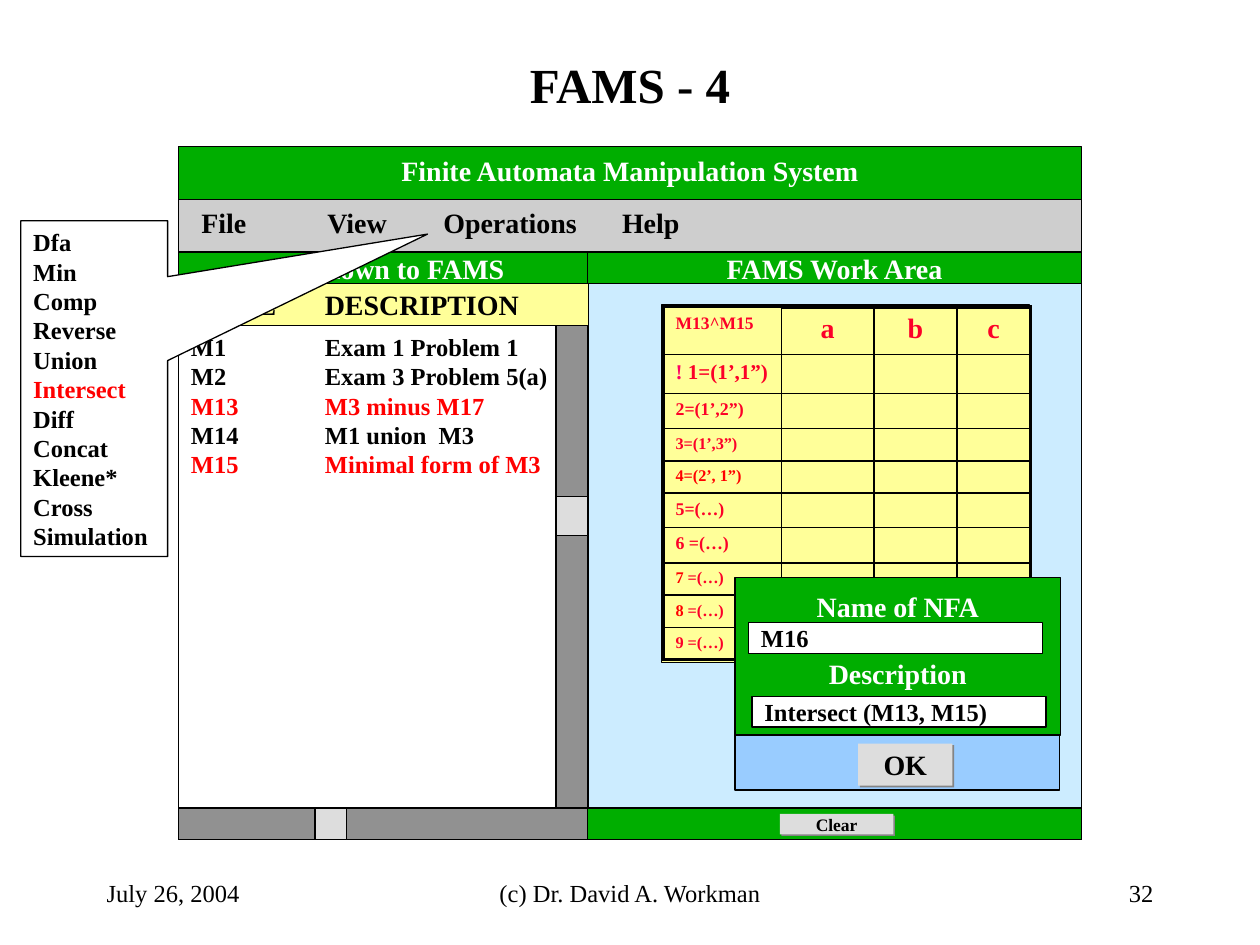
from lxml import etree
from pptx import Presentation
from pptx import util as u
from pptx.dml.color import RGBColor
from pptx.enum import shapes, text
from pptx.oxml import ns

BLACK = RGBColor(0, 0, 0)
WHITE = RGBColor(255, 255, 255)
GREEN = RGBColor(0, 0xAE, 0)
RED = RGBColor(255, 0, 0)
CRIMSON = RGBColor(0xFC, 0x01, 0x28)
PINK = RGBColor(255, 0, 0x66)
YELLOW = RGBColor(255, 255, 0x99)
PALE_BLUE = RGBColor(0xCC, 0xEC, 255)
SKY = RGBColor(0x99, 0xCC, 255)
MENU_GREY = RGBColor(0xCE, 0xCE, 0xCE)
TRACK_GREY = RGBColor(0x91, 0x91, 0x91)
BUTTON_GREY = RGBColor(0xDD, 0xDD, 0xDD)
SHADOW_GREY = RGBColor(0x84, 0x84, 0x84)

LEFT, CENTER, RIGHT = text.PP_ALIGN.LEFT, text.PP_ALIGN.CENTER, text.PP_ALIGN.RIGHT
TOP, MIDDLE = text.MSO_ANCHOR.TOP, text.MSO_ANCHOR.MIDDLE
RECT = shapes.MSO_SHAPE.RECTANGLE


def add_child(parent, tag, **attrs):
    return etree.SubElement(parent, ns.qn(tag), {k: str(v) for k, v in attrs.items()})


class Painter:
    font = "Times New Roman"
    line_width = u.Pt(0.75)

    def __init__(self, slide):
        self.s = slide

    def fill_text(self, tf, lines, size, color=BLACK, bold=True, align=LEFT,
                  anchor=TOP, tab=None, gap=0, inset=0.13):
        tf.word_wrap = True
        tf.vertical_anchor = anchor
        tf.margin_left = tf.margin_right = u.Cm(0.25)
        tf.margin_top, tf.margin_bottom = u.Cm(inset), u.Cm(0.13)
        for i, line in enumerate(lines):
            p = tf.add_paragraph() if i else tf.paragraphs[0]
            if tab:
                tabs = add_child(p._p.get_or_add_pPr(), "a:tabLst")
                add_child(tabs, "a:tab", pos=u.Cm(tab), algn="l")
            p.alignment = align
            if i and gap:
                p.space_before = u.Pt(gap)
            self.runs(p, line, size, color, bold)

    def runs(self, p, line, size, color, bold=True):
        for words, tint in [(line, color)] if isinstance(line, str) else line:
            r = p.add_run()
            r.text = words
            r.font.name, r.font.size, r.font.bold = self.font, u.Pt(size), bold
            r.font.color.rgb = tint

    def label(self, x, y, w, h, line, size, **style):
        sp = self.s.shapes.add_textbox(u.Cm(x), u.Cm(y), u.Cm(w), u.Cm(h))
        self.fill_text(sp.text_frame, [line], size, **style)

    def box(self, x, y, w, h, fill, lines=(), size=16, kind=RECT, outline=True, **style):
        sp = self.s.shapes.add_shape(kind, u.Cm(x), u.Cm(y), u.Cm(w), u.Cm(h))
        sp.shadow.inherit = False
        sp.fill.solid()
        sp.fill.fore_color.rgb = fill
        if outline:
            sp.line.color.rgb = BLACK
            sp.line.width = self.line_width
        else:
            sp.line.fill.background()
        if lines:
            self.fill_text(sp.text_frame, lines, size, **style)
        return sp

    def button(self, x, y, w, h, caption, size):
        sp = self.box(x, y, w, h, BUTTON_GREY, [caption], size, outline=False,
                      align=CENTER, anchor=MIDDLE)
        effects = sp._element.spPr.find(ns.qn("a:effectLst"))
        shadow = add_child(effects, "a:outerShdw", dist=u.Pt(1.4), dir=2700000,
                           algn="ctr", rotWithShape=0)
        add_child(shadow, "a:srgbClr", val=SHADOW_GREY)

    def callout(self, x, y, w, h, tip, lines, size):
        sp = self.box(x, y, w, h, WHITE, lines, size,
                      kind=shapes.MSO_SHAPE.RECTANGULAR_CALLOUT)
        sp.adjustments[0], sp.adjustments[1] = tip

    def border(self, cell, side, width):
        ln = add_child(cell._tc.get_or_add_tcPr(), "a:ln" + side, w=u.Pt(width))
        add_child(add_child(ln, "a:solidFill"), "a:srgbClr", val=BLACK)

    def grid(self, x, y, widths, heights, rows):
        n, m = len(heights), len(widths)
        frame = self.s.shapes.add_table(n, m, u.Cm(x), u.Cm(y),
                                        u.Cm(sum(widths)), u.Cm(sum(heights)))
        table = frame.table
        table.first_row = table.horz_banding = False
        for col, width in zip(table.columns, widths):
            col.width = u.Cm(width)
        for i, (height, (size, cells)) in enumerate(zip(heights, rows)):
            table.rows[i].height = u.Cm(height)
            for j in range(m):
                cell = table.cell(i, j)
                edges = {"L": j == 0, "R": j == m - 1,
                         "T": i == 0 and j > 0, "B": i == n - 1}
                for side, thick in edges.items():
                    self.border(cell, side, 2.25 if thick else 1)
                cell.fill.solid()
                cell.fill.fore_color.rgb = YELLOW
                cell.margin_left = cell.margin_right = u.Cm(0.25)
                cell.margin_top, cell.margin_bottom = u.Cm(0.13), 0
                p = cell.text_frame.paragraphs[0]
                if j < len(cells):
                    p.alignment = CENTER if j else LEFT
                    self.runs(p, cells[j], 16 if j else size, CRIMSON)
                else:
                    p._p.get_or_add_endParaRPr().set("sz", "900")


def main():
    prs = Presentation()
    prs.slide_width, prs.slide_height = u.Cm(25.4), u.Cm(19.05)
    d = Painter(prs.slides.add_slide(prs.slide_layouts[6]))
    left, mid, list_w, work_w, bar = 3.6, 11.85, 8.26, 9.95, 0.64
    full_w = 18.2
    heading = dict(color=WHITE, align=CENTER, anchor=MIDDLE)

    d.label(1.9, 0.85, 21.6, 1.7, "FAMS - 4", 28, align=CENTER, anchor=MIDDLE)

    d.box(left, 5.08, full_w, 11.85, PALE_BLUE)
    d.box(left, 4.02, full_w, 1.06, MENU_GREY)
    d.box(left, 2.96, full_w, 1.06, GREEN, ["Finite Automata Manipulation System"],
          color=WHITE, align=CENTER)
    for x, w, name in [(3.81, 1.6, "File"), (6.35, 1.9, "View"),
                       (8.69, 3.4, "Operations"), (12.29, 1.8, "Help")]:
        d.label(x, 4.02, w, 0.94, name, 16)

    d.box(left, 5.72, list_w, 0.85, YELLOW, ["NAME\tDESCRIPTION"], anchor=MIDDLE, tab=2.7)
    d.box(left, 5.08, list_w, bar, GREEN, ["FA Known to FAMS"], **heading)
    d.box(left, 6.56, list_w, 10.37, WHITE, [
        "M1\tExam 1 Problem 1",
        "M2\tExam 3 Problem 5(a)",
        [("M13\tM3 minus M17", RED)],
        "M14\tM1 union  M3",
        [("M15\tMinimal form of M3", RED)],
    ], 14, tab=2.7)
    d.box(mid - bar, 6.56, bar, 10.37, TRACK_GREY)
    d.box(mid - bar, 10.01, bar, 0.79, BUTTON_GREY)
    d.box(left, 16.29, list_w, bar, TRACK_GREY)
    d.box(6.35, 16.29, bar, bar, BUTTON_GREY)
    d.box(mid, 5.08, work_w, bar, GREEN, ["FAMS Work Area"], **heading)

    d.callout(0.42, 4.45, 2.96, 6.77, (2.27, -0.46), [
        "Dfa", "Min", "Comp", "Reverse", "Union", [("Intersect", RED)],
        "Diff", "Concat", "Kleene*", "Cross", "Simulation"], 14)

    d.box(13.33, 6.15, 7.42, 7.2, YELLOW)
    d.grid(13.37, 6.19, [2.38, 1.87, 1.67, 1.48],
           [0.96, 0.78, 0.71, 0.65, 0.65, 0.69, 0.72, 0.65, 0.65, 0.65], [
        (10, ["M13^M15", "a", "b", "c"]),
        (12, [[("! ", PINK), ("1=(1’,1”)", CRIMSON)]]),
        (10.2, ["2=(1’,2”)"]),
        (9.3, ["3=(1’,3”)"]),
        (9.3, [[("4=(2’, 1”)", RED)]]),
        (10.2, ["5=(…)"]),
        (10.2, ["6 =(…)"]),
        (9.3, [[("7 ", RED), ("=(…)", CRIMSON)]]),
        (9.3, [[("8 ", RED), ("=(…)", CRIMSON)]]),
        (9.3, ["9 =(…)"]),
    ])

    d.box(mid, 16.29, work_w, bar, GREEN)
    d.button(15.72, 16.41, 2.29, 0.41, "Clear", 10)

    d.box(14.82, 11.64, 6.56, 3.18, GREEN, ["Name of NFA", "Description"],
          color=WHITE, align=CENTER, gap=19, inset=0.25)
    d.box(14.82, 14.82, 6.54, 1.11, SKY)
    d.button(17.3, 14.99, 1.9, 0.85, "OK", 16)
    d.box(15.09, 12.55, 5.93, 0.62, WHITE, ["M16"], 14, anchor=MIDDLE)
    d.box(15.16, 14.04, 5.93, 0.62, WHITE, ["Intersect (M13, M15)"], 14, anchor=MIDDLE)

    for x, w, words, align in [(8.68, 8.04, "(c) Dr. David A. Workman", CENTER),
                               (18.2, 5.3, "32", RIGHT),
                               (1.9, 5.3, "July 26, 2004", LEFT)]:
        d.label(x, 17.36, w, 1.27, words, 14, bold=False, align=align, anchor=MIDDLE)

    prs.save("out.pptx")


if __name__ == "__main__":
    main()
